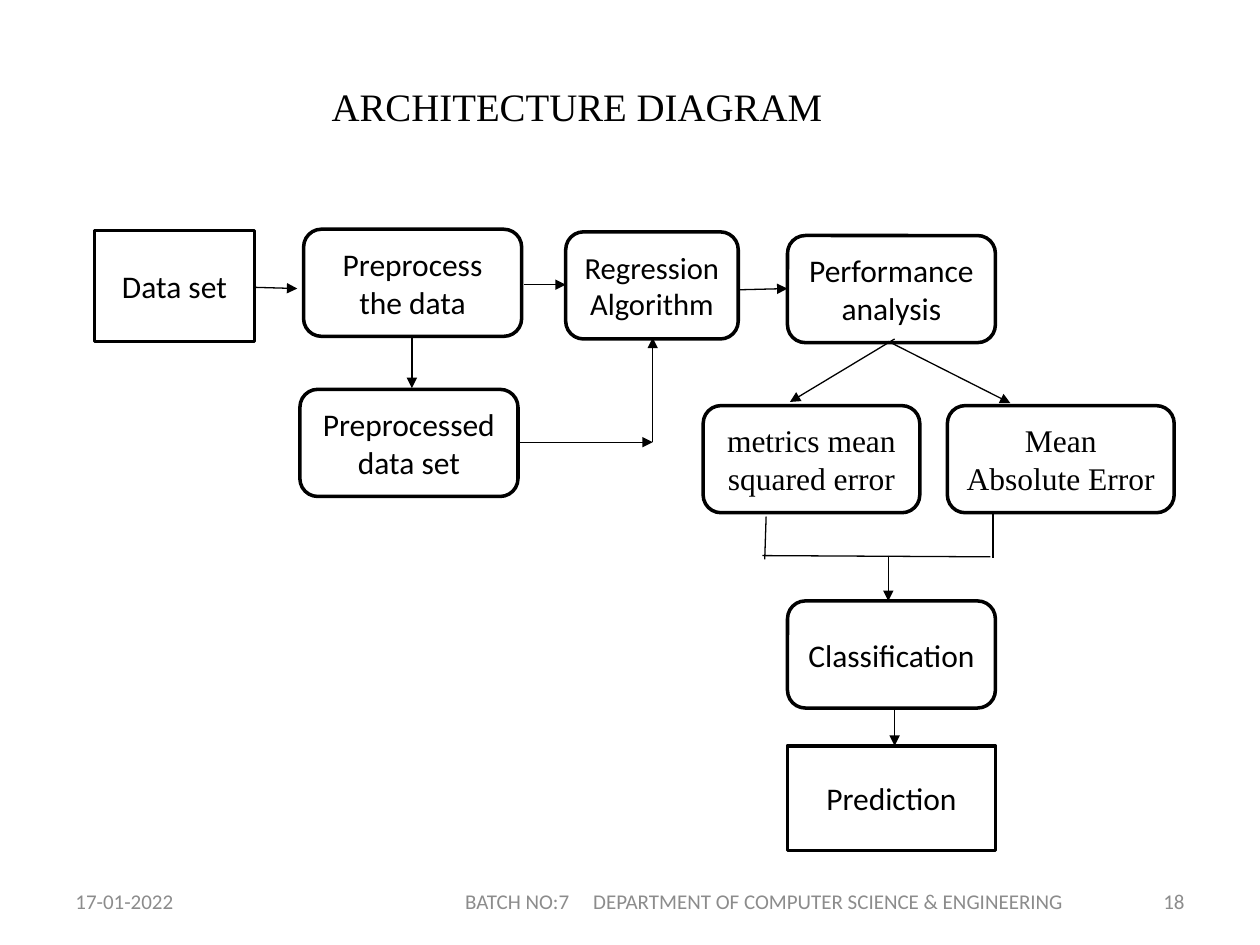
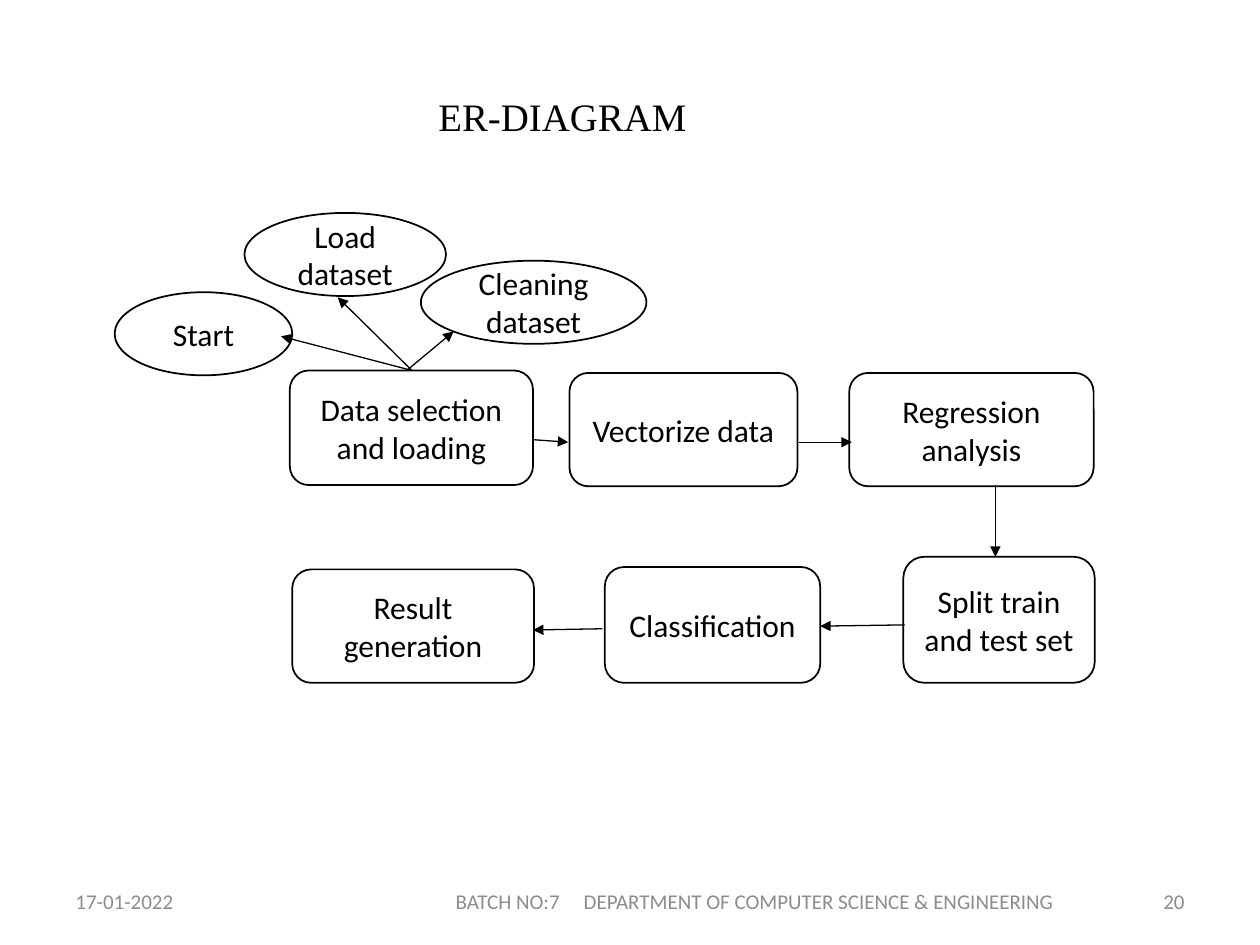
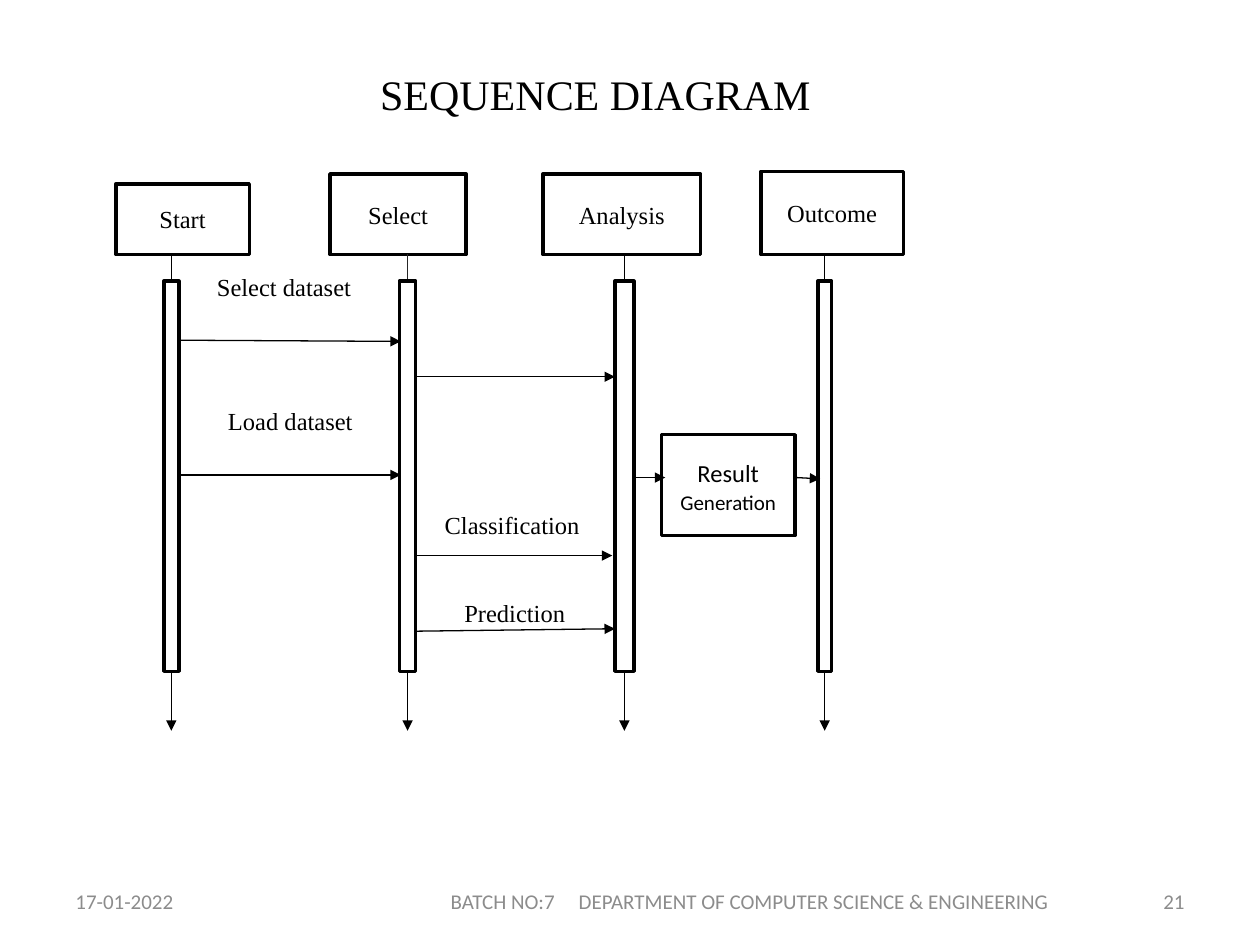
from lxml import etree
from pptx import Presentation
from pptx.dml.color import RGBColor
from pptx.enum import shapes, text
from pptx.oxml import ns
from pptx.util import Pt

BLACK, WHITE, GREY = "000000", "FFFFFF", "8C8C8C"
SANS, SERIF = "Calibri", "Times New Roman"
FORM = shapes.MSO_SHAPE
LEFT, CENTER, RIGHT = text.PP_ALIGN.LEFT, text.PP_ALIGN.CENTER, text.PP_ALIGN.RIGHT
TOP, MIDDLE, BOTTOM = text.MSO_ANCHOR.TOP, text.MSO_ANCHOR.MIDDLE, text.MSO_ANCHOR.BOTTOM


def rgb(hex_colour):
    return RGBColor.from_string(hex_colour)


def apply(target, values):
    for name, value in values.items():
        setattr(target, name, value)


class Deck:
    """Holds the shared style and the slide being drawn."""

    def __init__(self):
        self.prs = Presentation()
        self.prs.slide_width, self.prs.slide_height = Pt(720), Pt(540)
        self.slide = None

    def new_slide(self, title, title_at, number, footer_width, **title_style):
        self.slide = self.prs.slides.add_slide(self.prs.slide_layouts[5])
        self.title(title, title_at, **title_style)
        self.footer(number, footer_width)

    def put_text(self, frame, content, size=18, font=SANS, colour=BLACK,
                 align=CENTER, **frame_values):
        """Fill a frame; content is text or a list of (text, size) runs."""
        apply(frame, {"word_wrap": True, "vertical_anchor": MIDDLE,
                      "auto_size": text.MSO_AUTO_SIZE.NONE, **frame_values})
        if isinstance(content, str):
            frame.text = content
        else:
            for words, run_size in content:
                run = frame.paragraphs[0].add_run()
                run.text = words
                run.font.size = Pt(run_size)
        for paragraph in frame.paragraphs:
            paragraph.alignment = align
            for run in paragraph.runs:
                apply(run.font, {"name": font, "size": run.font.size or Pt(size)})
                run.font.color.rgb = rgb(colour)

    def title(self, words, at, size=22.2, **style):
        holder = self.slide.shapes.title
        apply(holder, dict(zip(("left", "top", "width", "height"), map(Pt, at))))
        self.put_text(holder.text_frame, words, size, SERIF, **style)

    def label(self, words, at, **style):
        frame = self.slide.shapes.add_textbox(*map(Pt, at)).text_frame
        self.put_text(frame, words, **style)
        return frame

    def footer(self, number, width):
        top, height = 500.4, 28.8
        style = {"size": 12, "colour": GREY}
        self.label("17-01-2022", (36, top, 168, height), align=LEFT, **style)
        # The department line is 341 pt long and sits in the middle of its box
        line = self.label("BATCH NO:7\tDEPARTMENT OF COMPUTER SCIENCE & ENGINEERING",
                          (246.2, top, width, height), align=LEFT,
                          margin_left=Pt((width - 341) / 2), margin_right=0, **style)
        props = line.paragraphs[0]._p.get_or_add_pPr()
        stops = etree.SubElement(props, ns.qn("a:tabLst"))
        etree.SubElement(stops, ns.qn("a:tab"), pos=str(Pt(73.2)), algn="l")
        self.label(str(number), (516, top, 168, height), align=RIGHT, **style)

    def box(self, words, at, form=FORM.RECTANGLE, line=BLACK, weight=2,
            fill=WHITE, **style):
        node = self.slide.shapes.add_shape(form, *map(Pt, at))
        node.shadow.inherit = False
        if fill:
            node.fill.solid()
            node.fill.fore_color.rgb = rgb(fill)
        else:
            node.fill.background()
        node.line.color.rgb = rgb(line)
        node.line.width = Pt(weight)
        if words:
            self.put_text(node.text_frame, words, **style)
        return node

    def line(self, x1, y1, x2, y2, arrow=False, colour=BLACK):
        link = self.slide.shapes.add_connector(
            shapes.MSO_CONNECTOR.STRAIGHT, *map(Pt, (x1, y1, x2, y2)))
        link.line.color.rgb = rgb(colour)
        link.line.width = Pt(0.75)
        props = link._element.spPr
        if arrow:
            etree.SubElement(props.find(ns.qn("a:ln")), ns.qn("a:tailEnd"), type="triangle")
        etree.SubElement(props, ns.qn("a:effectLst"))

    def arrows(self, routes):
        for route in routes:
            self.line(*route, arrow=True)


def architecture(deck):
    deck.new_slide("ARCHITECTURE DIAGRAM", (54, 46, 551.5, 28.8), 18, 380.2)

    # Start and end of the flow
    for words, at in (("Data set", (54, 131.8, 91.4, 63.4)),
                      ("Prediction", (450, 426.2, 118.8, 59.8))):
        deck.box(words, at, FORM.FLOWCHART_PROCESS)

    # Steps
    height = 61.2
    for words, left, top, width, style in (
            ("Preprocess the data", 173.5, 131, 124.6, {}),
            ("Preprocessed data set", 171.4, 222.5, 124.6, {}),
            ("Regression\nAlgorithm", 323.3, 132.5, 98.6, {"size": 17.5}),
            ("Performance analysis", 450, 134.6, 118.8, {}),
            ("metrics mean squared error", 401.8, 231.8, 123.8, {"font": SERIF}),
            ("Mean Absolute Error", 541.4, 231.8, 129.6, {"font": SERIF}),
            ("Classification", 450, 343.4, 118.8, {})):
        deck.box(words, (left, top, width, height),
                 FORM.FLOWCHART_ALTERNATE_PROCESS, **style)

    # Bracket that joins the two error measures
    for route in ((437.8, 295.2, 437, 319.7), (567.4, 293, 567.4, 319),
                  (435.6, 317.5, 565.9, 318.2)):
        deck.line(*route)

    deck.arrows((
        (145.4, 164.2, 169.9, 164.9), (299.5, 162.7, 323.3, 162.7),
        (421.9, 165.6, 450, 164.9), (235.4, 192.2, 235.4, 221.8),
        (295.9, 252.7, 373, 252.7), (373, 252.7, 373, 193),
        (511.2, 193.7, 451.4, 229.7), (507.6, 195.1, 577.4, 230.4),
        (507.6, 317.5, 507.6, 343.4), (511.2, 404.6, 511.2, 426.2)))


def er_diagram(deck):
    deck.new_slide("ER-DIAGRAM", (48.2, 51.8, 546.5, 28.8), 20, 369.4)
    outline = {"weight": 1, "fill": None}

    # Process steps
    for words, *at in (
            ("Data selection and loading", 165.6, 211.7, 139, 65.5),
            ("Vectorize data", 325.4, 213.1, 130.3, 64.8),
            ("Regression analysis", 485.3, 213.1, 139.7, 64.8),
            ("Split train and test set", 516.2, 318.2, 109.4, 72),
            ("Classification", 345.6, 324, 123.1, 66.2),
            ("Result generation", 167, 325.4, 138.2, 64.8)):
        deck.box(words, at, FORM.ROUNDED_RECTANGLE, **outline)

    # Attributes of the first step
    for words, left, top, width in (("Start", 65.5, 167, 101.5),
                                    ("Cleaning dataset", 240.5, 149, 128.9),
                                    ("Load dataset", 139.7, 121.7, 115.2)):
        deck.box(words, (left, top, width, 47.5), FORM.OVAL, **outline)

    deck.arrows((
        (305.3, 251.3, 324.7, 252.7), (456.5, 252.7, 486.7, 252.7),
        (568.8, 277.2, 568.8, 318.2), (517, 357.1, 468.7, 357.8),
        (344.2, 359.3, 304.6, 360), (235.4, 211.7, 193, 169.9),
        (235.4, 211.7, 160.6, 192.2), (233.3, 211, 259.2, 189.4)))


def sequence(deck):
    deck.new_slide("SEQUENCE DIAGRAM", (66.2, 13, 429.8, 58.3), 21, 363.6, size=24,
                   align=LEFT, vertical_anchor=BOTTOM, margin_left=Pt(151))
    small = {"size": 14, "font": SERIF}

    # Actors, each with a lifeline below
    head_bottom, bar_top, bar_bottom, life_end = 145.4, 160.6, 383.6, 417.6
    for actor, left, top, width, bar_left, bar_width, stub in (
            ("Start", 66.2, 105.1, 76.3, 93.6, 8.6, BLACK),
            ("Select", 188.6, 99.4, 77.8, 228.2, 9.4, "262626"),
            ("Analysis", 310.3, 99.4, 90, 351.4, 10.8, BLACK),
            ("Outcome", 434.9, 97.9, 81.4, 467.3, 7.9, BLACK)):
        axis = bar_left + bar_width / 2
        deck.box(actor, (left, top, width, head_bottom - top), **small)
        deck.line(axis, head_bottom, axis, bar_top, colour=stub)
        deck.box("", (bar_left, bar_top, bar_width, bar_bottom - bar_top))
        deck.line(axis, bar_bottom, axis, life_end, arrow=True)

    # Messages
    for words, at, style in (
            ("Select dataset", (108.7, 155.5, 107.3, 31.7),
             {"vertical_anchor": TOP, "margin_top": 0}),
            ("Load dataset", (108.7, 218.9, 114.5, 42.5), {}),
            ("Classification", (241.9, 284.4, 101.5, 31), {}),
            ("Prediction", (243.4, 330.5, 101.5, 39.6), {})):
        deck.box(words, at, line=WHITE, **small, **style)

    # Result step
    result = deck.box([("Result ", 14), ("Generation", 12)], (378, 248.4, 76.3, 57.6))
    apply(result.text_frame.paragraphs[0], {"line_spacing": 1.07, "space_after": Pt(8)})

    deck.arrows((
        (102.2, 194.4, 229, 195.1), (102.2, 271.4, 229, 271.4),
        (238.3, 215.3, 351.4, 215.3), (237.6, 317.5, 349.9, 317.5),
        (237.6, 360.7, 351.4, 359.3), (362.9, 272.9, 380.2, 272.9),
        (455, 272.9, 468.7, 273.6)))


def main():
    deck = Deck()
    for draw in (architecture, er_diagram, sequence):
        draw(deck)
    deck.prs.save("out.pptx")


if __name__ == "__main__":
    main()
